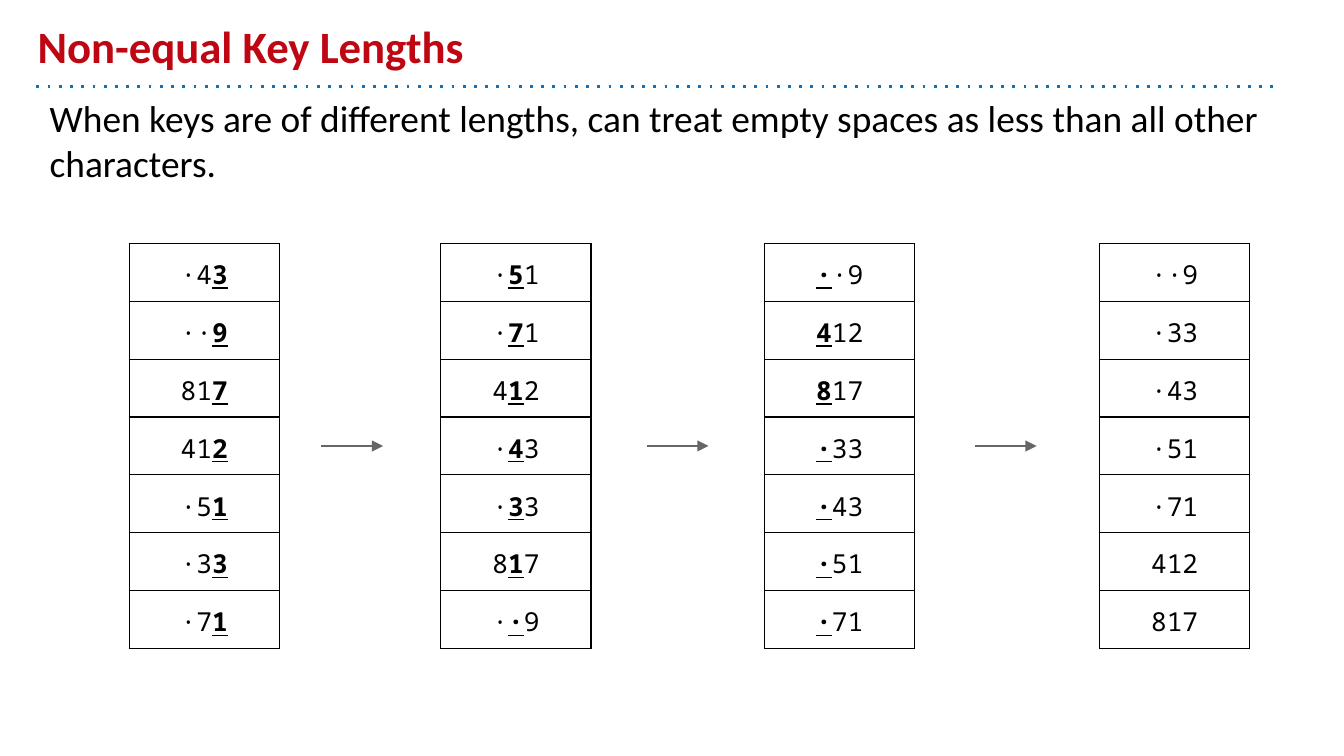
from dataclasses import dataclass

from lxml import etree
from pptx import Presentation
from pptx.dml.color import RGBColor
from pptx.enum.shapes import MSO_CONNECTOR
from pptx.enum.text import MSO_ANCHOR, PP_ALIGN
from pptx.oxml.ns import qn
from pptx.util import Cm, Pt

STRAIGHT = MSO_CONNECTOR.STRAIGHT
CENTER = PP_ALIGN.CENTER
TOP, BOTTOM = MSO_ANCHOR.TOP, MSO_ANCHOR.BOTTOM


@dataclass(frozen=True)
class Theme:
    title_color: str = "BE0712"
    text_color: str = "000000"
    rule_color: str = "1072BD"
    arrow_color: str = "666666"
    text_font: str = "Calibri"
    key_font: str = "Noto Sans Mono"
    title_size: int = 24
    body_size: int = 20
    key_size: int = 14


theme = Theme()

prs = Presentation()
prs.slide_width, prs.slide_height = Cm(25.4), Cm(14.29)
slide = prs.slides.add_slide(prs.slide_layouts[6])


def add_run(p, text, font, size, color, bold=False, underline=False):
    r = p.add_run()
    r.text = text
    r.font.name = font
    r.font.size = Pt(size)
    r.font.color.rgb = RGBColor.from_string(color)
    r.font.bold = bold
    r.font.underline = underline


def add_line(x1, x2, y, color, tag, **attrs):
    """Draw a horizontal line whose dash or arrowhead is the given XML tag."""
    s = slide.shapes.add_connector(STRAIGHT, Cm(x1), Cm(y), Cm(x2), Cm(y))
    s.line.width = Pt(1.5)
    s.line.color.rgb = RGBColor.from_string(color)
    sp_pr = s._element.spPr
    etree.SubElement(sp_pr.find(qn("a:ln")), qn(tag), **attrs)
    etree.SubElement(sp_pr, qn("a:effectLst"))


# Heading, dotted rule and explanation
add_line(0.69, 24.13, 1.63, theme.rule_color, "a:prstDash", val="dot")

texts = [
    ("Non-equal Key Lengths", (0.46, 0.25, 22.86, 1.37), BOTTOM,
     theme.title_size, theme.title_color, True),
    ("When keys are of different lengths, can treat empty spaces as less than "
     "all other characters.", (0.69, 1.55, 23.44, 2.01), TOP,
     theme.body_size, theme.text_color, False),
]
for text, box, anchor, size, color, bold in texts:
    tf = slide.shapes.add_textbox(*map(Cm, box)).text_frame
    tf.word_wrap = True
    tf.vertical_anchor = anchor
    tf.margin_left = tf.margin_right = tf.margin_top = tf.margin_bottom = Cm(0.25)
    add_run(tf.paragraphs[0], text, theme.text_font, size, color, bold)

# Sorting passes: left edge, position of the digit sorted next, keys
passes = [
    (2.44, 2, "·43 ··9 817 412 ·51 ·33 ·71"),
    (8.33, 1, "·51 ·71 412 ·43 ·33 817 ··9"),
    (14.45, 0, "··9 412 817 ·33 ·43 ·51 ·71"),
    (20.78, None, "··9 ·33 ·43 ·51 ·71 412 817"),
]
TABLE_TOP, COLUMN_WIDTH, ROW_HEIGHT = 4.6, 2.84, 1.07

for left, digit, keys in passes:
    keys = keys.split()
    table = slide.shapes.add_table(
        len(keys), 1, Cm(left), Cm(TABLE_TOP),
        Cm(COLUMN_WIDTH), Cm(ROW_HEIGHT * len(keys))).table
    table.first_row = table.horz_banding = False
    for row, key in enumerate(keys):
        cell = table.cell(row, 0)
        cell.margin_left = cell.margin_right = Cm(0.25)
        cell.margin_top = cell.margin_bottom = Cm(0.25)
        tc_pr = cell._tc.get_or_add_tcPr()
        for side in ("a:lnL", "a:lnR", "a:lnT", "a:lnB"):
            ln = etree.SubElement(tc_pr, qn(side), w=str(Pt(0.75)))
            fill = etree.SubElement(ln, qn("a:solidFill"))
            etree.SubElement(fill, qn("a:srgbClr"), val=theme.text_color)
        cell.fill.background()

        p = cell.text_frame.paragraphs[0]
        p.alignment = CENTER
        if digit is None:
            parts = [(key, False)]
        else:
            parts = [(key[:digit], False), (key[digit], True), (key[digit + 1:], False)]
        for text, marked in parts:
            if text:
                add_run(p, text, theme.key_font, theme.key_size, theme.text_color,
                        bold=marked, underline=marked)

# Arrows between passes
for x in (6.07, 12.22, 18.42):
    add_line(x, x + 1.17, 8.43, theme.arrow_color, "a:tailEnd", type="triangle")

prs.save("out.pptx")
